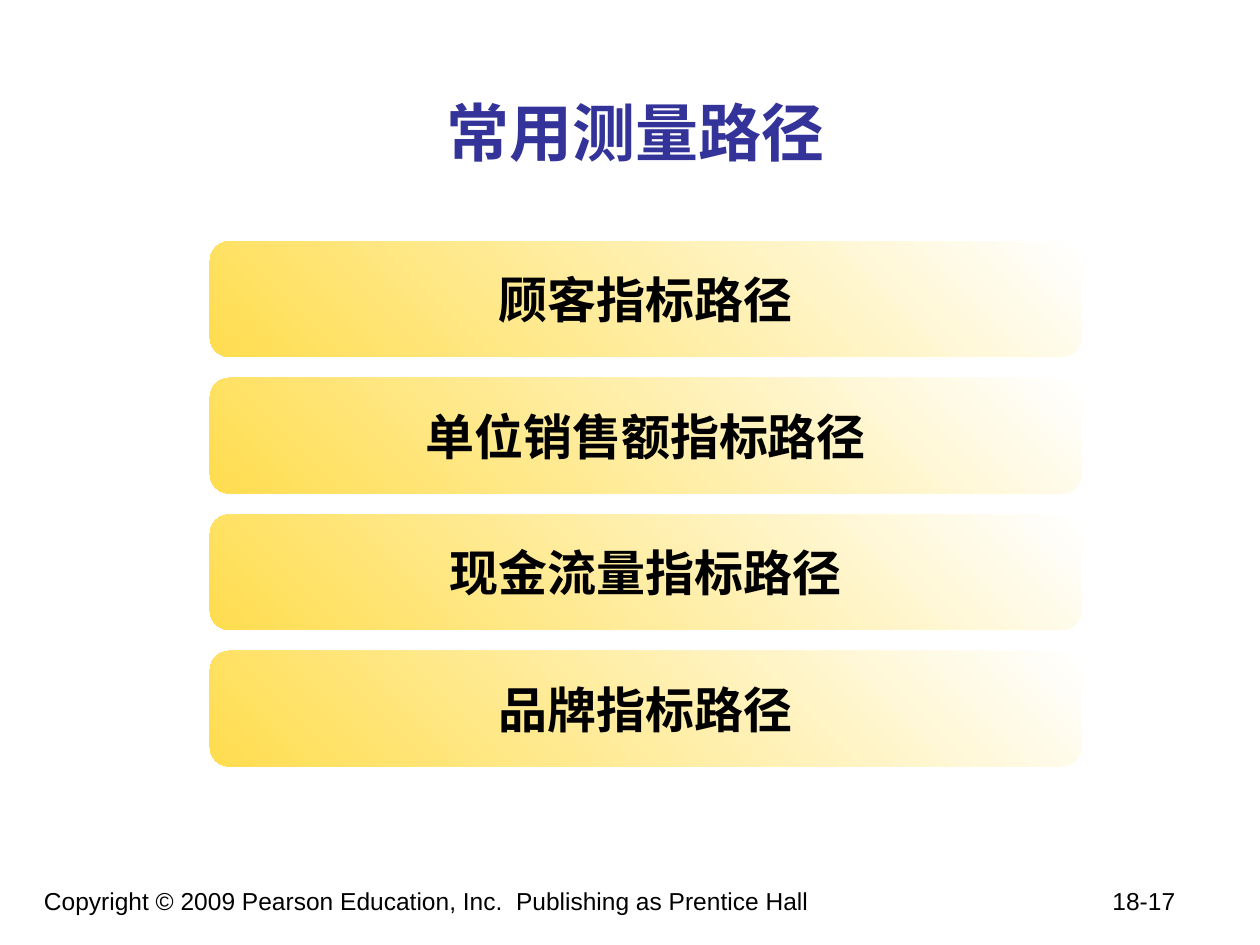
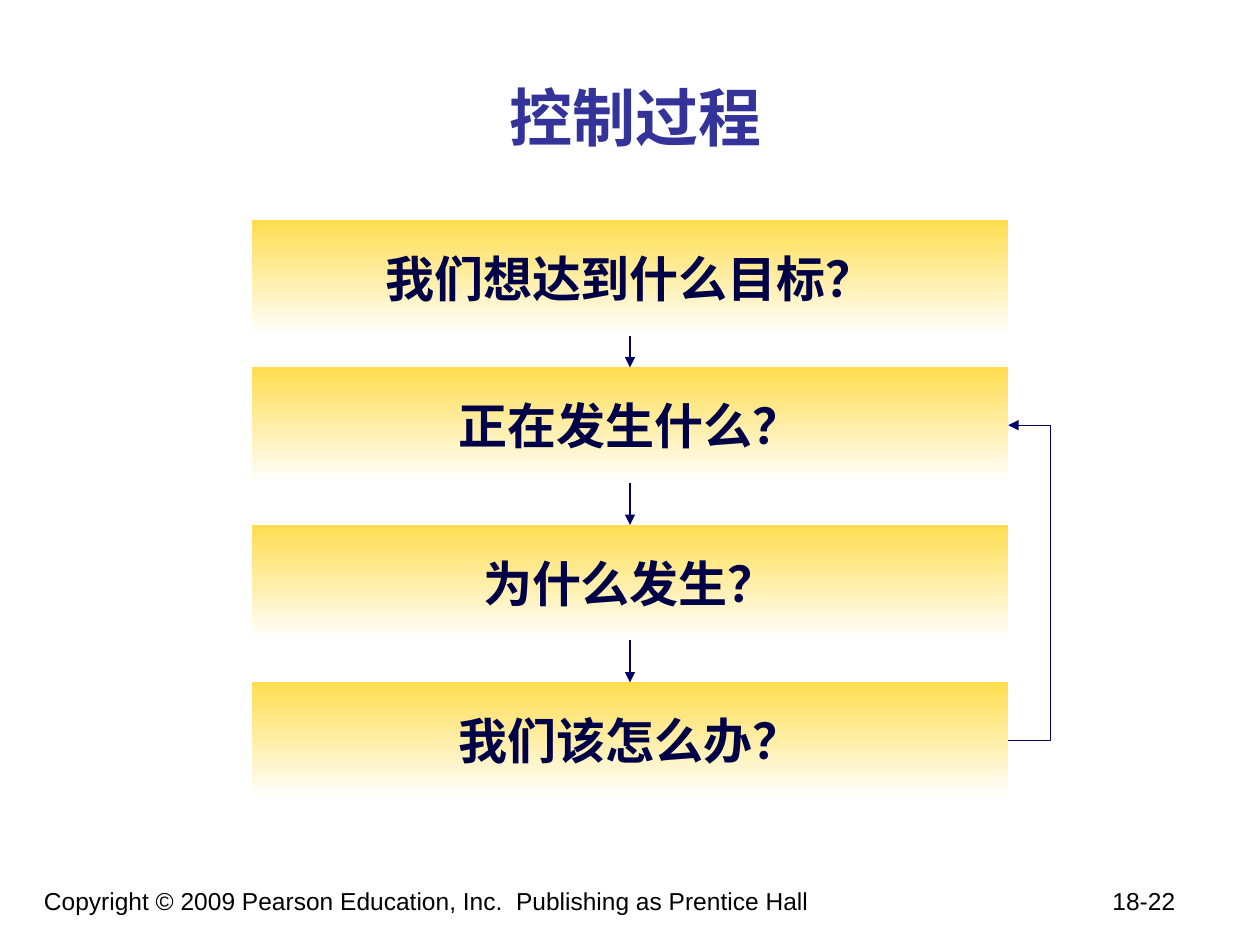
from pptx import Presentation
from pptx.util import Pt
from pptx.dml.color import RGBColor
from pptx.enum.shapes import MSO_CONNECTOR, MSO_SHAPE
from pptx.enum.text import MSO_ANCHOR, PP_ALIGN
from pptx.oxml.ns import qn
from lxml import etree

RECT, ROUNDED = MSO_SHAPE.RECTANGLE, MSO_SHAPE.ROUNDED_RECTANGLE
STRAIGHT, ELBOW = MSO_CONNECTOR.STRAIGHT, MSO_CONNECTOR.ELBOW
LEFT, CENTER = PP_ALIGN.LEFT, PP_ALIGN.CENTER
TOP, MIDDLE = MSO_ANCHOR.TOP, MSO_ANCHOR.MIDDLE
BOTTOM_SIDE, TOP_SIDE = 2, 0

# Content
COPYRIGHT = "Copyright © 2009 Pearson Education, Inc.  Publishing as Prentice Hall"
PATHWAYS = {
    "title": "常用测量路径",
    "page": "18-17",
    "items": ["顾客指标路径", "单位销售额指标路径", "现金流量指标路径", "品牌指标路径"],
}
CONTROL = {
    "title": "控制过程",
    "page": "18-22",
    "items": ["我们想达到什么目标？", "正在发生什么？", "为什么发生？", "我们该怎么办？"],
}

# Theme: colours, fonts and type styles
CJK = "Noto Sans CJK SC"
THEME = {
    "yellow": "FFDD4F",
    "white": "FFFFFF",
    "line": "000066",
    "title": {"size": 36, "bold": True, "name": CJK, "color": "333399"},
    "pathway": {"size": 28, "bold": True, "name": "Arial", "color": "000000"},
    "question": {"size": 28, "bold": True, "name": "Arial", "color": "000046"},
    "footer": {"size": 14, "bold": False, "name": "Arial", "color": "000000"},
}

# Layout, in points
TITLE_LEFT, TITLE_W, TITLE_H = 60, 606, 90
BOX_H = 66
PATH_LEFT, PATH_TOP, PATH_W, PATH_PITCH = 120, 138, 498, 78
STEP_LEFT, STEP_W = 144, 432
STEP_TOPS = [126, 210, 300, 390]
LOOP_W, LOOP_REACH = 0.17, 24.5
FOOTER_BOX = (18, 502.5, 672, 37.5)
PAGE_TAB = 646.5


def write(shape, text, style, align=CENTER, anchor=MIDDLE, wrap=True, tab=None):
    tf = shape.text_frame
    tf.word_wrap, tf.vertical_anchor = wrap, anchor
    p = tf.paragraphs[0]
    p.alignment = align
    if tab:
        tabs = etree.SubElement(p._p.get_or_add_pPr(), qn("a:tabLst"))
        etree.SubElement(tabs, qn("a:tab"), pos=str(Pt(tab)), algn="r")
    r = p.add_run()
    r.text = text
    values = {**THEME[style], "size": Pt(THEME[style]["size"])}
    r.font.color.rgb = RGBColor.from_string(values.pop("color"))
    for key, value in values.items():
        setattr(r.font, key, value)
    latin = r._r.rPr.find(qn("a:latin"))
    latin.addnext(etree.Element(qn("a:ea"), typeface=CJK))


def add_text(s, box, *args, **options):
    write(s.shapes.add_textbox(*map(Pt, box)), *args, **options)


def add_box(s, preset, box, text, style, colours, angle):
    sp = s.shapes.add_shape(preset, *map(Pt, box))
    sp.shadow.inherit = False
    sp.line.fill.background()
    sp.fill.gradient()
    sp.fill.gradient_angle = angle
    for stop, colour in zip(sp.fill.gradient_stops, colours):
        stop.color.rgb = RGBColor.from_string(THEME[colour])
    write(sp, text, style, wrap=False)
    return sp


def add_arrow(s, kind, start, end):
    line = s.shapes.add_connector(kind, *map(Pt, start + end))
    line.line.color.rgb = RGBColor.from_string(THEME["line"])
    line.line.width = Pt(0.75)
    etree.SubElement(line.line._get_or_add_ln(), qn("a:tailEnd"), type="triangle")
    etree.SubElement(line._element.spPr, qn("a:effectLst"))
    return line


def new_slide(prs, content, title_top):
    s = prs.slides.add_slide(prs.slide_layouts[6])
    add_text(s, FOOTER_BOX, f"{COPYRIGHT}\t{content['page']}", "footer",
             align=LEFT, anchor=TOP, tab=PAGE_TAB)
    add_text(s, (TITLE_LEFT, title_top, TITLE_W, TITLE_H), content["title"], "title")
    return s


def pathways_slide(prs):
    s = new_slide(prs, PATHWAYS, 30)
    for i, text in enumerate(PATHWAYS["items"]):
        box = (PATH_LEFT, PATH_TOP + i * PATH_PITCH, PATH_W, BOX_H)
        add_box(s, ROUNDED, box, text, "pathway", ("white", "yellow"), 225)


def control_slide(prs):
    s = new_slide(prs, CONTROL, 21.6)
    steps = [add_box(s, RECT, (STEP_LEFT, top, STEP_W, BOX_H), text, "question",
                     ("yellow", "white"), 270)
             for top, text in zip(STEP_TOPS, CONTROL["items"])]

    # Arrows from each question to the next
    mid = STEP_LEFT + STEP_W / 2
    for i, (upper, lower) in enumerate(zip(steps, steps[1:])):
        arrow = add_arrow(s, STRAIGHT, (mid, STEP_TOPS[i] + BOX_H), (mid, STEP_TOPS[i + 1]))
        arrow.begin_connect(upper, BOTTOM_SIDE)
        arrow.end_connect(lower, TOP_SIDE)

    # Feedback loop from the last question to the second
    right = STEP_LEFT + STEP_W
    loop = add_arrow(s, ELBOW, (right, STEP_TOPS[3] + BOX_H / 2),
                     (right + LOOP_W, STEP_TOPS[1] + BOX_H / 2))
    loop_bend = round(LOOP_REACH / LOOP_W * 100000)
    guides = loop._element.spPr.find(qn("a:prstGeom")).get_or_add_avLst()
    etree.SubElement(guides, qn("a:gd"), name="adj1", fmla=f"val {loop_bend}")


def main():
    prs = Presentation()
    prs.slide_width, prs.slide_height = Pt(720), Pt(540)
    pathways_slide(prs)
    control_slide(prs)
    prs.save("out.pptx")


if __name__ == "__main__":
    main()
